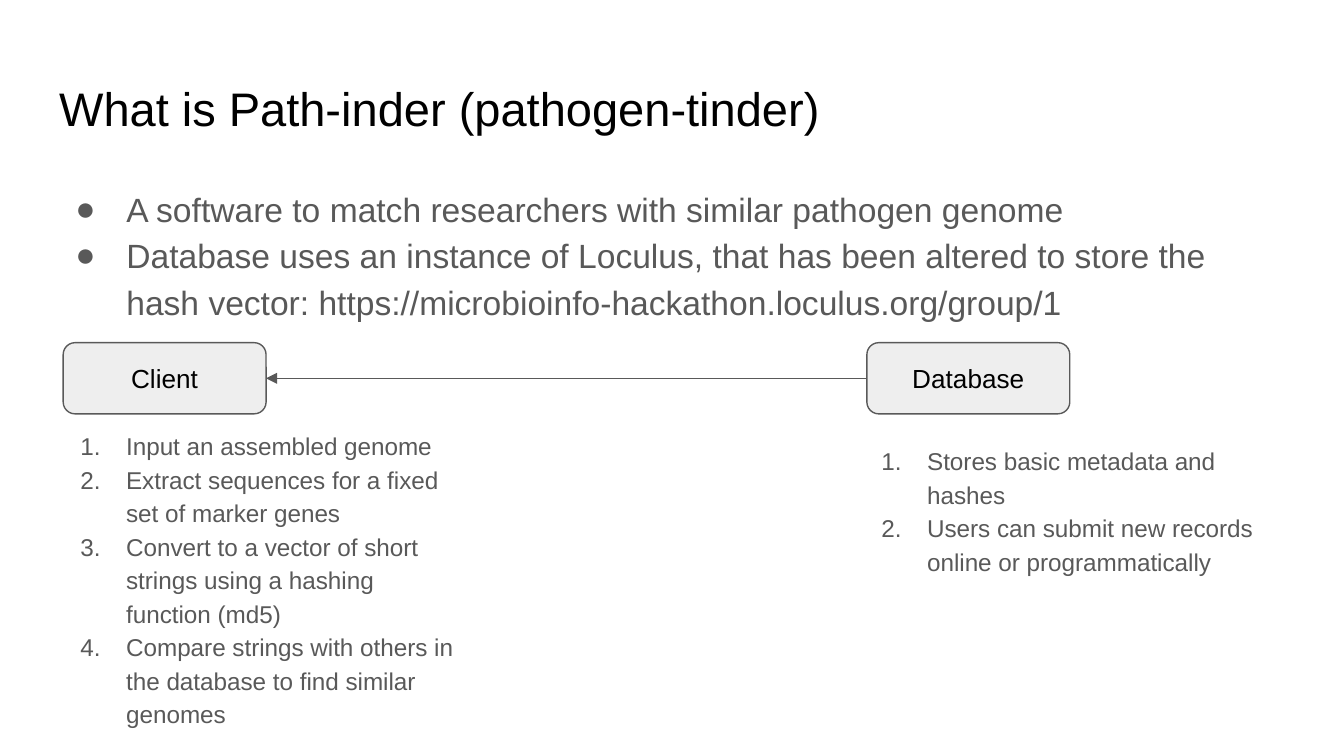
from dataclasses import dataclass

from lxml.etree import SubElement
from pptx import Presentation
from pptx.dml.color import RGBColor
from pptx.enum.shapes import MSO_CONNECTOR, MSO_SHAPE
from pptx.enum.text import MSO_ANCHOR as ANCHOR, MSO_AUTO_SIZE as AUTO, PP_ALIGN as ALIGN
from pptx.oxml.ns import qn
from pptx.util import Inches, Pt


@dataclass(frozen=True)
class Theme:
    font: str = "Arial"
    ink: str = "000000"
    grey: str = "595959"
    node_fill: str = "EEEEEE"
    title: float = 25.2
    body: float = 18
    node: float = 14
    steps: float = 13
    line: float = 0.75
    spacing: float = 1.15


THEME = Theme()
MARGIN = 0.34
CONTENT_W = 9.32
LIST_W = 3.18
NODE_Y, NODE_W, NODE_H = 2.55, 1.51, 0.53


def rgb(value):
    return RGBColor.from_string(value)


def place(sp, x, y, w, h):
    sp.left, sp.top, sp.width, sp.height = (Inches(v) for v in (x, y, w, h))


def set_frame(tf, anchor=ANCHOR.TOP):
    tf.word_wrap = True
    tf.auto_size = AUTO.NONE
    tf.vertical_anchor = anchor
    tf.margin_left = tf.margin_right = tf.margin_top = tf.margin_bottom = Inches(0.1)


def style_runs(p, size, color):
    for r in p.runs:
        r.font.name = THEME.font
        r.font.size = Pt(size)
        r.font.color.rgb = rgb(color)


def add_marker(p, hanging, tag, **attrs):
    """Give the paragraph a hanging bullet or automatic number."""
    pPr = p._p.get_or_add_pPr()
    pPr.set("marL", str(Inches(0.5)))
    pPr.set("indent", str(-Inches(hanging)))
    color = SubElement(pPr, qn("a:buClr"))
    SubElement(color, qn("a:srgbClr"), val=THEME.grey)
    SubElement(pPr, qn("a:buFont"), typeface=THEME.font)
    SubElement(pPr, qn(tag), **attrs)


def fill_list(tf, items, size, hanging, tag, **attrs):
    set_frame(tf)
    tf.text = "\n".join(items)
    for p in tf.paragraphs:
        p.line_spacing = THEME.spacing
        p.space_before = Pt(0)
        add_marker(p, hanging, tag, **attrs)
        style_runs(p, size, THEME.grey)


def fill_title(sp, text, *box):
    place(sp, *box)
    tf = sp.text_frame
    set_frame(tf)
    tf.text = text
    p = tf.paragraphs[0]
    p.alignment = ALIGN.LEFT
    style_runs(p, THEME.title, THEME.ink)


def fill_body(sp, items, *box):
    place(sp, *box)
    fill_list(sp.text_frame, items, THEME.body, 0.38, "a:buChar", char="●")


def add_steps(slide, items, *box):
    sp = slide.shapes.add_textbox(*(Inches(v) for v in box))
    fill_list(sp.text_frame, items, THEME.steps, 0.34,
              "a:buAutoNum", type="arabicPeriod")


def add_node(slide, label, *box):
    sp = slide.shapes.add_shape(MSO_SHAPE.ROUNDED_RECTANGLE,
                                *(Inches(v) for v in box))
    sp.shadow.inherit = False
    sp.fill.solid()
    sp.fill.fore_color.rgb = rgb(THEME.node_fill)
    sp.line.color.rgb = rgb(THEME.grey)
    sp.line.width = Pt(THEME.line)
    tf = sp.text_frame
    set_frame(tf, ANCHOR.MIDDLE)
    tf.text = label
    p = tf.paragraphs[0]
    p.alignment = ALIGN.CENTER
    style_runs(p, THEME.node, THEME.ink)
    return sp


def add_arrow(slide, source, target):
    """Link the left side of source to the right side of target."""
    link = slide.shapes.add_connector(MSO_CONNECTOR.STRAIGHT, 0, 0, 0, 0)
    link.begin_connect(source, 1)
    link.end_connect(target, 3)
    link.line.color.rgb = rgb(THEME.grey)
    link.line.width = Pt(THEME.line)
    SubElement(link.line._get_or_add_ln(), qn("a:tailEnd"), type="triangle")
    SubElement(link._element.spPr, qn("a:effectLst"))


def build_slide(prs):
    s = prs.slides.add_slide(prs.slide_layouts[1])
    fill_title(s.shapes.title, "What is Path-inder (pathogen-tinder)",
               MARGIN, 0.49, CONTENT_W, 0.63)
    fill_body(s.placeholders[1], [
        "A software to match researchers with similar pathogen genome",
        "Database uses an instance of Loculus, that has been altered to store "
        "the hash vector: https://microbioinfo-hackathon.loculus.org/group/1",
    ], MARGIN, 1.26, CONTENT_W, 3.74)

    client = add_node(s, "Client", 0.47, NODE_Y, NODE_W, NODE_H)
    add_steps(s, [
        "Input an assembled genome",
        "Extract sequences for a fixed set of marker genes",
        "Convert to a vector of short strings using a hashing function (md5)",
        "Compare strings with others in the database to find similar genomes",
    ], MARGIN, NODE_Y + NODE_H, LIST_W, 2.43)

    database = add_node(s, "Database", 6.45, NODE_Y, NODE_W, NODE_H)
    add_arrow(s, database, client)
    add_steps(s, [
        "Stores basic metadata and hashes",
        "Users can submit new records online or programmatically",
    ], 6.3, 3.19, LIST_W, 1.18)


def main():
    prs = Presentation()
    prs.slide_width = Inches(10)
    prs.slide_height = prs.slide_width * 9 // 16
    build_slide(prs)
    prs.save("out.pptx")


if __name__ == "__main__":
    main()
